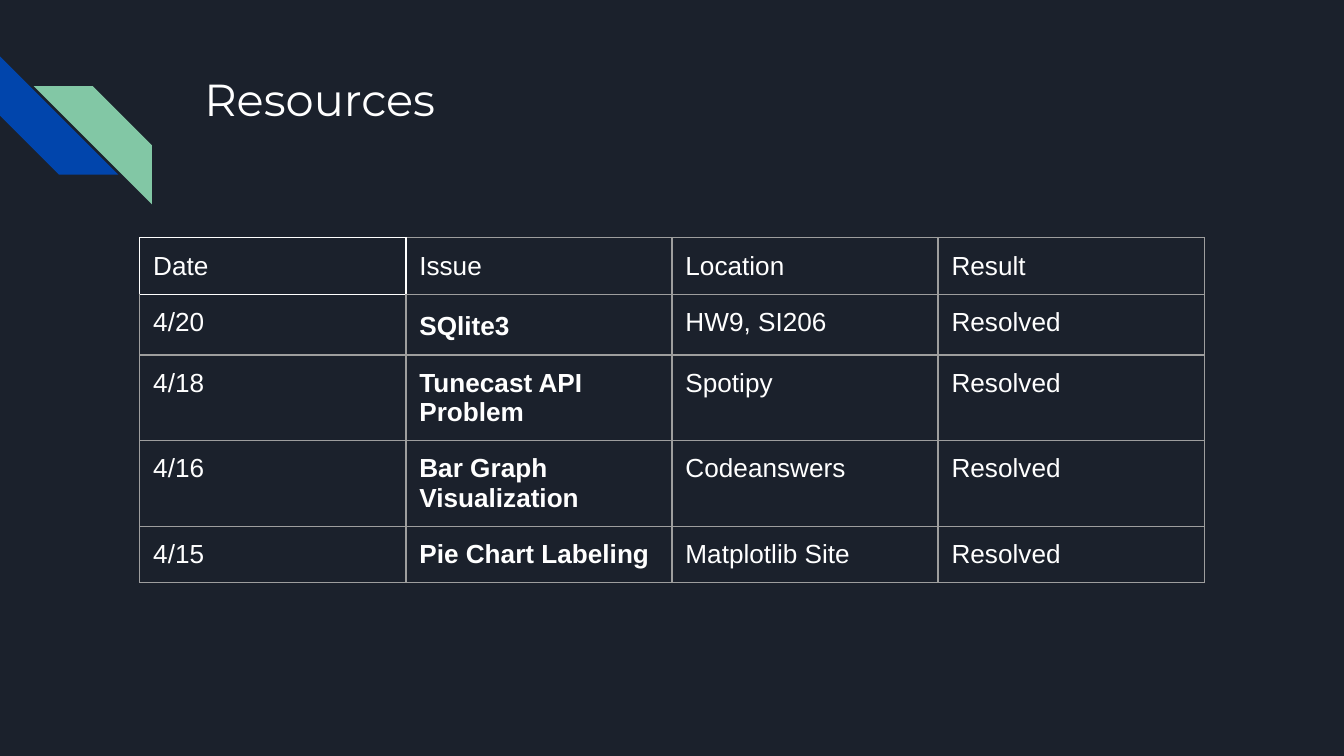
from dataclasses import dataclass

from lxml import etree
from pptx import Presentation
from pptx.dml.color import RGBColor
from pptx.enum import shapes, text
from pptx.oxml import ns
from pptx.util import Inches, Pt


@dataclass(frozen=True)
class Theme:
    back: str = "1B212C"
    ink: str = "FFFFFF"
    grid: str = "9E9E9E"
    blue: str = "0145AC"
    green: str = "82C7A5"
    head: str = "Montserrat"
    body: str = "Arial"
    big: int = 24
    small: int = 14


@dataclass(frozen=True)
class Stripe:
    left: float
    top: float
    turn: int
    color: str


THEME = Theme()
STRIPES = [
    Stripe(0, 0.42, 270, THEME.blue),
    Stripe(0.25, 0.64, 90, THEME.green),
]
ROWS = [
    ("Date", "Issue", "Location", "Result"),
    ("4/20", "SQlite3", "HW9, SI206", "Resolved"),
    ("4/18", "Tunecast API Problem", "Spotipy", "Resolved"),
    ("4/16", "Bar Graph Visualization", "Codeanswers", "Resolved"),
    ("4/15", "Pie Chart Labeling", "Matplotlib Site", "Resolved"),
]


def write(frame, words: str, *, size: int = THEME.small, font: str = THEME.body,
          bold: bool = False, space: float = 1.0) -> None:
    frame.word_wrap = True
    para = frame.paragraphs[0]
    para.alignment = text.PP_ALIGN.LEFT
    para.line_spacing = space
    run = para.add_run()
    run.text = words
    run.font.size, run.font.name, run.font.bold = Pt(size), font, bold
    run.font.color.rgb = RGBColor.from_string(THEME.ink)


def pad(box) -> None:
    box.margin_left = box.margin_right = Inches(0.1)
    box.margin_top = box.margin_bottom = Inches(0.1)


def edge(cell, colors: dict[str, str]) -> None:
    props = cell._tc.get_or_add_tcPr()
    for side in "LRTB":
        line = etree.SubElement(props, ns.qn(f"a:ln{side}"), w=str(Pt(0.75)))
        fill = etree.SubElement(line, ns.qn("a:solidFill"))
        color = colors.get(side, THEME.grid)
        etree.SubElement(fill, ns.qn("a:srgbClr"), val=color)


def draw(slide, item: Stripe) -> None:
    shape = slide.shapes.add_shape(
        shapes.MSO_SHAPE.DIAGONAL_STRIPE, Inches(item.left), Inches(item.top),
        Inches(0.88), Inches(0.88))
    shape.rotation = item.turn
    shape.shadow.inherit = False
    shape.fill.solid()
    shape.fill.fore_color.rgb = RGBColor.from_string(item.color)
    shape.line.fill.background()


# Wide 16:9 slide
deck = Presentation()
deck.slide_width = Inches(10)
deck.slide_height = Inches(10) * 9 // 16
slide = deck.slides.add_slide(deck.slide_layouts[5])
slide.background.fill.solid()
slide.background.fill.fore_color.rgb = RGBColor.from_string(THEME.back)

# Corner stripes
for item in STRIPES:
    draw(slide, item)

# Title
title = slide.shapes.title
title.left, title.top = Inches(1.42), Inches(0.43)
title.width, title.height = Inches(7.7), Inches(1)
pad(title.text_frame)
title.text_frame.vertical_anchor = text.MSO_ANCHOR.TOP
title.text_frame.auto_size = text.MSO_AUTO_SIZE.NONE
write(title.text_frame, "Resources", size=THEME.big, font=THEME.head)

# Table of issues; the first cell has a white frame
table = slide.shapes.add_table(
    len(ROWS), len(ROWS[0]), Inches(1.04), Inches(1.77),
    Inches(7.92), Inches(2.1)).table
table.first_row = table.horz_banding = False
FRAMES = {(0, 0): "LRTB", (0, 1): "L", (1, 0): "T"}
for r, row in enumerate(ROWS):
    table.rows[r].height = Inches(0.42)
    for c, words in enumerate(row):
        cell = table.cell(r, c)
        pad(cell)
        edge(cell, dict.fromkeys(FRAMES.get((r, c), ""), THEME.ink))
        cell.fill.background()
        write(cell.text_frame, words, bold=r > 0 and c == 1,
              space=1.15 if (r, c) == (1, 1) else 1.0)

deck.save("out.pptx")
